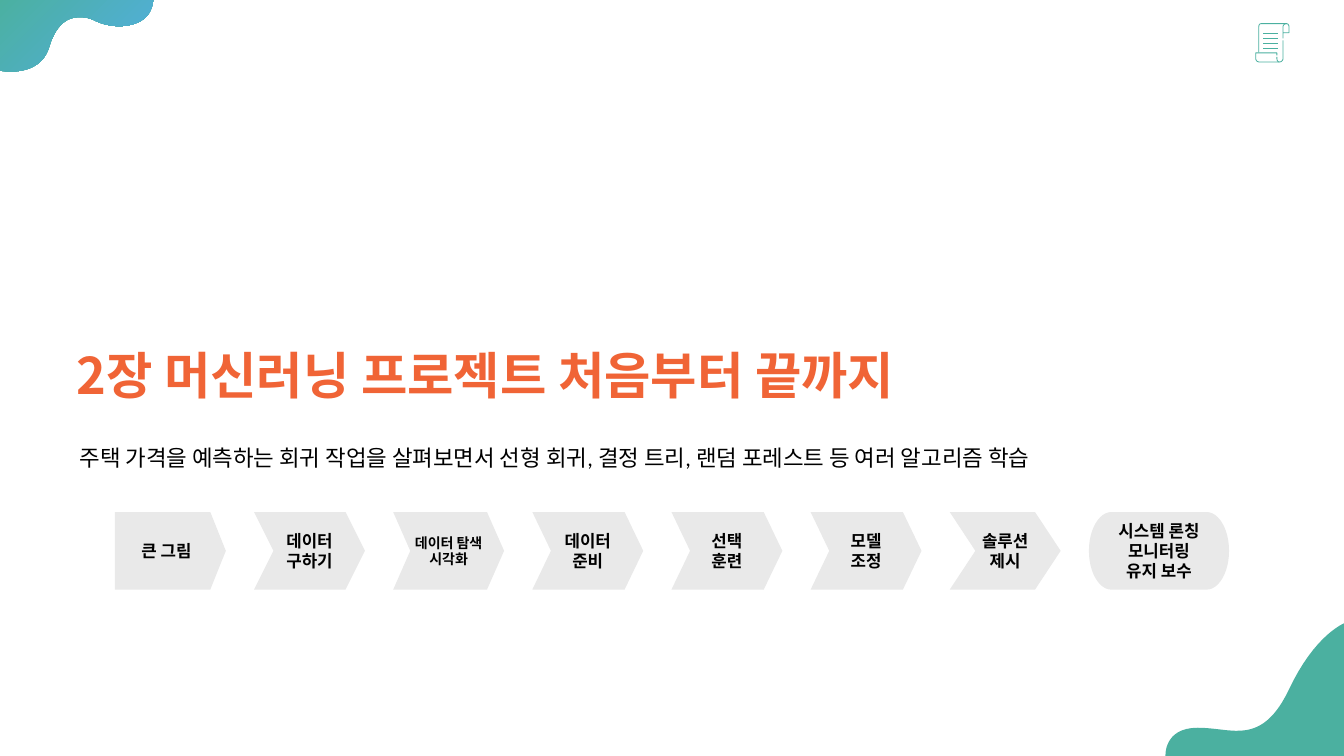
import pptx
import pptx.util
from pptx.dml.color import RGBColor
from pptx.enum.shapes import MSO_CONNECTOR, MSO_SHAPE
from pptx.enum.text import MSO_ANCHOR, PP_ALIGN
from pptx.oxml.ns import qn
from lxml import etree

Inches, Pt = pptx.util.Inches, pptx.util.Pt

TEAL = RGBColor(0x4B, 0xB0, 0xA0)
BLUE = RGBColor(0x52, 0xAE, 0xE1)
ORANGE = RGBColor(0xF0, 0x64, 0x36)
GREY = RGBColor(0xE9, 0xE9, 0xE9)
BLACK = RGBColor(0, 0, 0)

# Content
TITLE = "2장 머신러닝 프로젝트 처음부터 끝까지"
SUMMARY = ("주택 가격을 예측하는 회귀 작업을 살펴보면서 선형 회귀, 결정 트리, "
           "랜덤 포레스트 등 여러 알고리즘 학습")
STEPS = [  # label, shape, point depth, width, font size
    ("큰 그림", MSO_SHAPE.PENTAGON, 0.2, 1.1, 12),
    ("데이터\n구하기", MSO_SHAPE.CHEVRON, 0.25, 1.1, 12),
    ("데이터 탐색\n시각화", MSO_SHAPE.CHEVRON, 0.22, 1.1, 10),
    ("데이터\n준비", MSO_SHAPE.CHEVRON, 0.24, 1.1, 12),
    ("선택\n훈련", MSO_SHAPE.CHEVRON, 0.24, 1.1, 12),
    ("모델\n조정", MSO_SHAPE.CHEVRON, 0.24, 1.1, 12),
    ("솔루션\n제시", MSO_SHAPE.CHEVRON, 0.33, 1.1, 12),
    ("시스템 론칭\n모니터링\n유지 보수", MSO_SHAPE.FLOWCHART_TERMINATOR, None, 1.39, 12),
]
STEP_LEFT, STEP_TOP, STEP_PITCH, STEP_HEIGHT = 1.14, 5.08, 1.38, 0.77

# Outlines: a start point, then line ends (2 numbers) or Bezier curves (6 numbers)
TOP_WAVE = [
    (1.52, -0.02), (-0.01, -0.02), (-0.01, 0.7),
    (-0.01, 0.7, 0.04, 0.71, 0.11, 0.71), (0.24, 0.71, 0.43, 0.67, 0.49, 0.46),
    (0.56, 0.23, 0.68, 0.17, 0.79, 0.17), (0.84, 0.17, 0.89, 0.18, 0.93, 0.2),
    (1.01, 0.24, 1.1, 0.26, 1.18, 0.26), (1.37, 0.26, 1.52, 0.17, 1.52, -0.02),
]
BOTTOM_WAVE = [
    (13.34, 6.18), (13.34, 6.18, 13.04, 6.29, 12.78, 6.85),
    (12.62, 7.18, 12.45, 7.25, 12.27, 7.25), (12.15, 7.25, 12.02, 7.22, 11.88, 7.22),
    (11.54, 7.22, 11.56, 7.5, 11.56, 7.5), (13.34, 7.5),
]
# Scroll icon strokes, in hundredths of an inch from its corner
ICON_LEFT, ICON_TOP = 12.45, 0.23
ICON_STROKES = [
    [(31, 0.5), (6, 0.5), (4, 0.5, 3.5, 2, 3.5, 4), (3.5, 29)],
    [(21.5, 32), (21.5, 29.5), (0.5, 29.5), (0.5, 35), (0.5, 37, 2, 38.5, 4, 38.5),
     (24, 38.5), (26, 38.5, 27.5, 37, 27.5, 35), (27.5, 17)],
    [(21.5, 33.5), (21.5, 35), (21.5, 37, 22.5, 38.5, 24, 38.5)],
    [(27.5, 15), (27.5, 4), (27.5, 2, 29, 0.5, 31, 0.5),
     (32.5, 0.5, 33.5, 2, 33.5, 4), (33.5, 9.5), (27.5, 9.5)],
]
ICON_ROWS = (10.5, 15.5, 20.5, 25.5)


def trace(outline, pieces=16):
    """Turn lines and Bezier curves into a list of points."""
    points = [outline[0]]
    for seg in outline[1:]:
        if len(seg) == 2:
            points.append(seg)
            continue
        x0, y0 = points[-1]
        x1, y1, x2, y2, x3, y3 = seg
        for i in range(1, pieces + 1):
            t = i / pieces
            a, b, c, d = (1 - t) ** 3, 3 * t * (1 - t) ** 2, 3 * t * t * (1 - t), t ** 3
            points.append((a * x0 + b * x1 + c * x2 + d * x3,
                           a * y0 + b * y1 + c * y2 + d * y3))
    return points


def add_outline(shapes, outline, close, left=0, top=0, unit=1):
    points = [(Inches(left + x * unit), Inches(top + y * unit)) for x, y in trace(outline)]
    builder = shapes.build_freeform(*points[0])
    builder.add_line_segments(points[1:], close=close)
    sp = builder.convert_to_shape()
    sp.shadow.inherit = False
    return sp


def add_icon(shapes):
    icon = shapes.add_group_shape().shapes
    for stroke in ICON_STROKES:
        sp = add_outline(icon, stroke, False, ICON_LEFT, ICON_TOP, 0.01)
        sp.fill.background()
        sp.line.color.rgb = TEAL
        sp.line.width = Pt(0.6)
    for row in ICON_ROWS:
        y = Inches(ICON_TOP + row * 0.01)
        line = icon.add_connector(MSO_CONNECTOR.STRAIGHT, Inches(12.53), y, Inches(12.68), y)
        line.line.color.rgb = TEAL
        line.line.width = Pt(0.6)
        etree.SubElement(line._element.spPr, qn("a:effectLst"))


def add_steps(shapes):
    group = shapes.add_group_shape().shapes
    for i, (label, kind, depth, width, size) in enumerate(STEPS):
        sp = group.add_shape(kind, Inches(STEP_LEFT + i * STEP_PITCH), Inches(STEP_TOP),
                             Inches(width), Inches(STEP_HEIGHT))
        if depth is not None:
            sp.adjustments[0] = depth
        sp.shadow.inherit = False
        sp.fill.solid()
        sp.fill.fore_color.rgb = GREY
        sp.line.fill.background()
        tf = sp.text_frame
        tf.text = label
        tf.margin_left = tf.margin_right = 0
        tf.vertical_anchor = MSO_ANCHOR.MIDDLE
        for p in tf.paragraphs:
            p.alignment = PP_ALIGN.CENTER
            set_font(p, "Arial", size, BLACK, True)


def set_font(p, name, size, color, bold=False):
    p.font.name, p.font.size, p.font.bold = name, Pt(size), bold
    p.font.color.rgb = color


def main():
    prs = pptx.Presentation()
    prs.slide_width, prs.slide_height = Inches(13.33), Inches(7.5)
    slide = prs.slides.add_slide(prs.slide_layouts[5])
    shapes = slide.shapes

    # Corner waves
    wave = add_outline(shapes, TOP_WAVE, True)
    wave.fill.gradient()
    wave.fill.gradient_angle = 315
    for stop, color in zip(wave.fill.gradient_stops, (TEAL, BLUE)):
        stop.color.rgb = color
    wave.line.fill.background()
    wave = add_outline(shapes, BOTTOM_WAVE, True)
    wave.fill.solid()
    wave.fill.fore_color.rgb = TEAL
    wave.line.fill.background()

    add_icon(shapes)

    # Title
    title = shapes.title
    title.left, title.top = Inches(0.76), Inches(3.21)
    title.width, title.height = Inches(11.23), Inches(1.09)
    tf = title.text_frame
    tf.text = TITLE
    tf.word_wrap = True
    tf.vertical_anchor = MSO_ANCHOR.MIDDLE
    tf.margin_left = tf.margin_right = tf.margin_top = tf.margin_bottom = 0
    p = tf.paragraphs[0]
    p.alignment = PP_ALIGN.LEFT
    p.line_spacing = 0.9
    set_font(p, "Noto Sans CJK KR", 36, ORANGE, True)

    # Summary
    box = shapes.add_textbox(Inches(0.69), Inches(4.36), Inches(11.29), Inches(0.37))
    tf = box.text_frame
    tf.word_wrap = True
    tf.text = SUMMARY
    set_font(tf.paragraphs[0], "Calibri", 16, BLACK)

    add_steps(shapes)
    prs.save("out.pptx")


if __name__ == "__main__":
    main()
